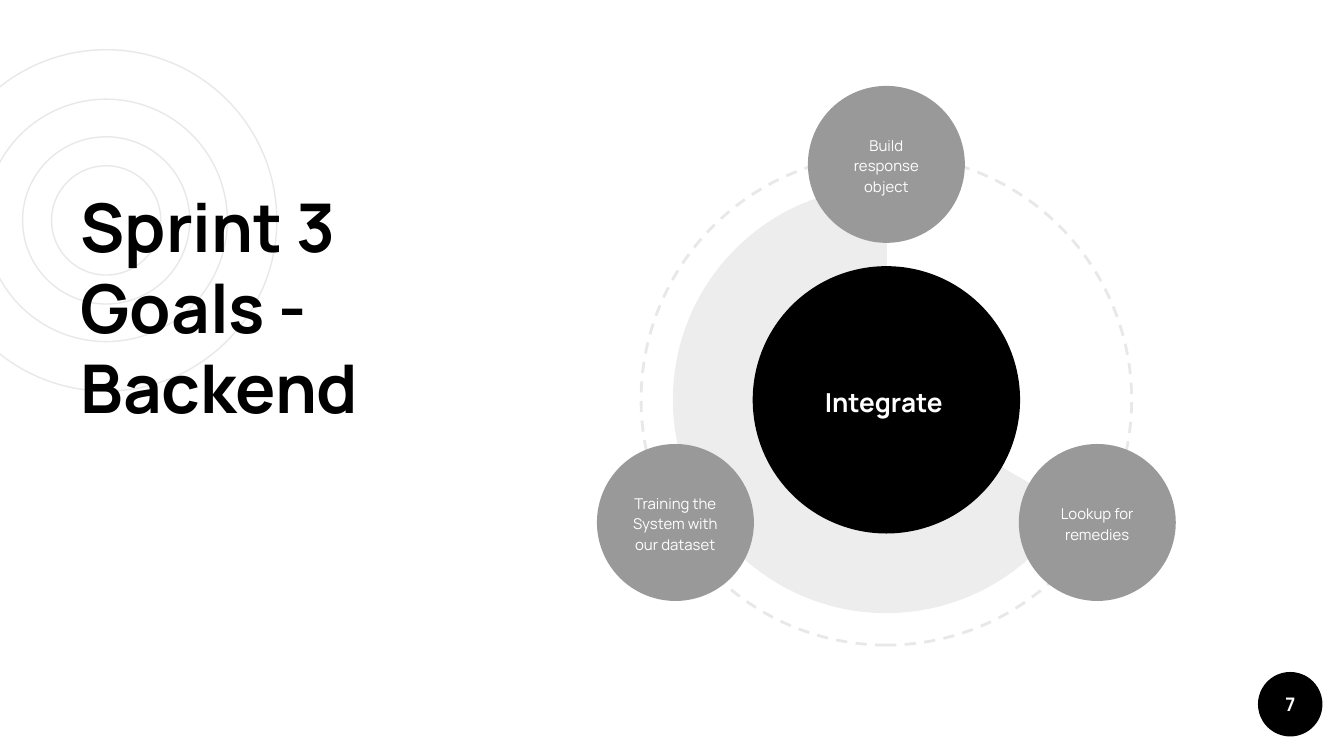
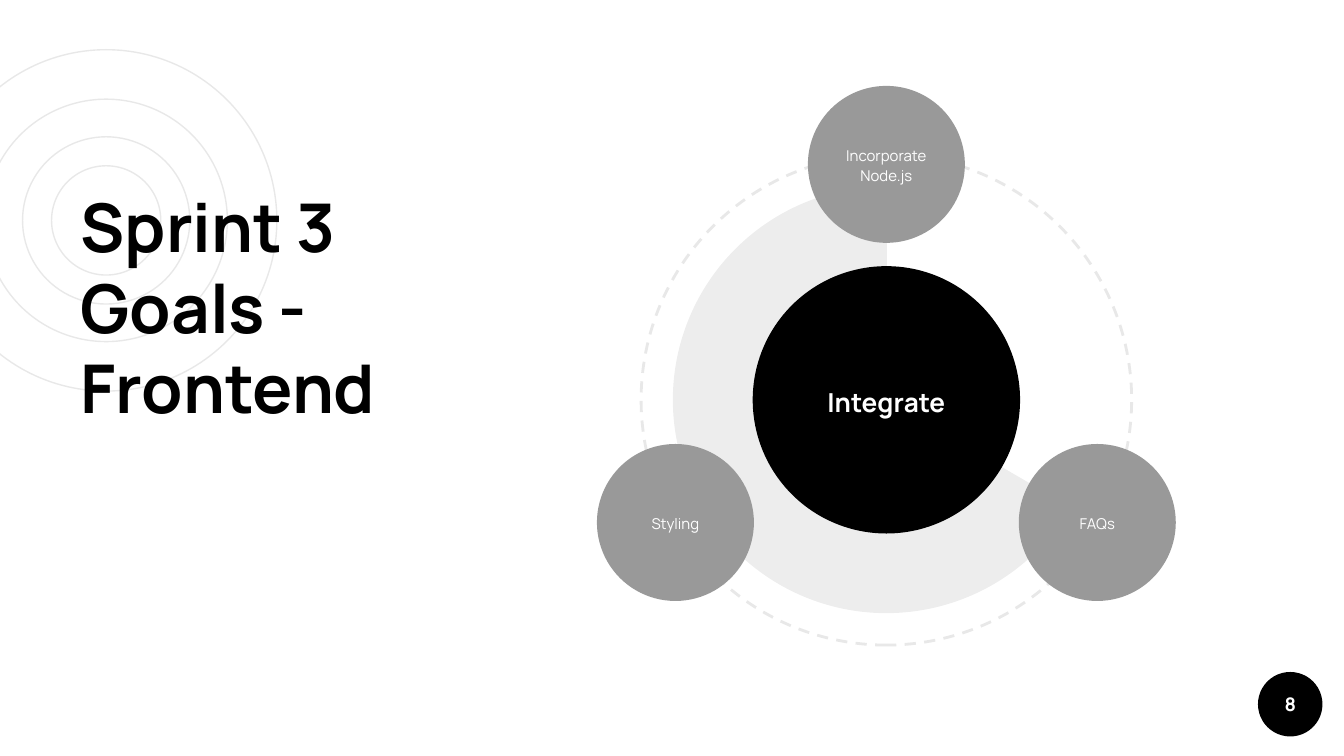
from dataclasses import dataclass

from lxml.etree import SubElement
from pptx import Presentation
from pptx.dml.color import RGBColor
from pptx.enum.dml import MSO_LINE
from pptx.enum.shapes import MSO_SHAPE
from pptx.enum.text import MSO_ANCHOR, MSO_AUTO_SIZE, PP_ALIGN
from pptx.oxml.ns import qn
from pptx.util import Inches, Pt

BLACK = RGBColor(0x00, 0x00, 0x00)
WHITE = RGBColor(0xFF, 0xFF, 0xFF)
GREY = RGBColor(0x99, 0x99, 0x99)
PALE = RGBColor(0xE8, 0xE8, 0xE8)
FONT = "Manrope"

# The grid has square cells: 100 columns across, 56.25 rows down.
COLUMNS, ROWS = 100, 56.25
SLIDE_WIDTH = Inches(10)
CELL = SLIDE_WIDTH // COLUMNS
INSET = CELL


@dataclass
class Box:
    """A rectangle in grid cells."""
    left: float
    top: float
    width: float
    height: float

    def square(self, share, across=0, down=0):
        """Return a square sized and offset from the centre by shares of the width."""
        side = self.width * share
        return Box(self.left + self.width * (0.5 + across) - side / 2,
                   self.top + self.height / 2 + self.width * down - side / 2,
                   side, side)

    def lengths(self):
        """Return left, top, width and height as slide lengths."""
        return [round(cells * CELL)
                for cells in (self.left, self.top, self.width, self.height)]


RINGS_BOX = Box(-4.8, 3.7, 25.4, 25.4)
RING_SHARES = (1, 0.49, 0.71, 0.32)
TITLE_BOX = Box(5, 12.8, 32.8, 32.2)
BADGE_BOX = Box(93.6, 50, 4.8, 4.8)
DIAGRAM_BOX = Box(47.7, 11.5, 36.5, 36.5)
GOAL_OFFSETS = ((0, -0.48), (-0.43, 0.25), (0.43, 0.25))

# Title, page number, centre label, goals: top, lower left, lower right
SLIDES = (
    ("Sprint 3 Goals - Backend", 7, "Integrate ",
     ("Build response object", "Training the System with our dataset",
      "Lookup for remedies")),
    ("Sprint 3 Goals - Frontend", 8, "Integrate",
     ("Incorporate Node.js", "Styling", "FAQs")),
)


def style_font(paragraph, size, color, bold):
    """Set the font of a whole paragraph."""
    font = paragraph.font
    font.name, font.size, font.bold = FONT, Pt(size), bold
    font.color.rgb = color


def add_filled(slide, box, color, kind=MSO_SHAPE.OVAL):
    """Add a solid shape without outline."""
    shape = slide.shapes.add_shape(kind, *box.lengths())
    shape.shadow.inherit = False
    shape.fill.solid()
    shape.fill.fore_color.rgb = color
    shape.line.fill.background()
    return shape


def add_ring(slide, box, width):
    """Add an unfilled circle with a pale outline."""
    ring = slide.shapes.add_shape(MSO_SHAPE.OVAL, *box.lengths())
    ring.shadow.inherit = False
    ring.fill.background()
    ring.line.color.rgb = PALE
    ring.line.width = Pt(width)
    return ring


def add_disc(slide, box, color, text, size, bold=False, spacing=1.15, inset=0.8):
    """Add a solid circle with centred white text."""
    frame = add_filled(slide, box, color).text_frame
    frame.word_wrap = True
    frame.vertical_anchor = MSO_ANCHOR.MIDDLE
    frame.margin_left = frame.margin_right = round(inset * CELL)
    frame.margin_top = frame.margin_bottom = 0
    paragraph = frame.paragraphs[0]
    paragraph.text = text
    paragraph.alignment = PP_ALIGN.CENTER
    paragraph.line_spacing = spacing
    style_font(paragraph, size, WHITE, bold)


def add_rings(slide, box):
    """Draw the concentric decoration behind the title."""
    for share in RING_SHARES:
        add_ring(slide, box.square(share), 0.75)


def place_title(slide, box, text):
    """Move the title placeholder in front of the rings and format it."""
    title = slide.shapes.title
    title.element.getparent().append(title.element)
    title.left, title.top, title.width, title.height = box.lengths()
    frame = title.text_frame
    frame.text = text
    frame.word_wrap = True
    frame.auto_size = MSO_AUTO_SIZE.NONE
    frame.vertical_anchor = MSO_ANCHOR.TOP
    frame.margin_left = frame.margin_right = INSET
    frame.margin_top = frame.margin_bottom = INSET
    paragraph = frame.paragraphs[0]
    paragraph.alignment = PP_ALIGN.LEFT
    paragraph.line_spacing = 1.0
    paragraph.space_before = Pt(0)
    style_font(paragraph, 36, BLACK, True)


def add_goal_diagram(slide, box, centre, goals):
    """Draw a dashed orbit, a translucent sector, the core and its goals."""
    orbit = add_ring(slide, box, 1.5)
    orbit.line.dash_style = MSO_LINE.DASH
    orbit.rotation = 270

    sector = add_filled(slide, box.square(0.87), BLACK, MSO_SHAPE.PIE)
    sector.adjustments[0] = 18.12
    sector.adjustments[1] = 162.15
    color = sector.element.spPr.find(qn("a:solidFill")).find(qn("a:srgbClr"))
    SubElement(color, qn("a:alpha")).set("val", "7000")

    add_disc(slide, box.square(0.545), BLACK, centre, 14, bold=True)
    for (across, down), goal in zip(GOAL_OFFSETS, goals):
        add_disc(slide, box.square(0.32, across, down), GREY, goal, 8)


def add_goal_slide(presentation, title, number, centre, goals):
    """Add one sprint goal slide."""
    slide = presentation.slides.add_slide(
        presentation.slide_layouts.get_by_name("Title Only"))
    add_rings(slide, RINGS_BOX)
    add_disc(slide, BADGE_BOX, BLACK, str(number), 10,
             bold=True, spacing=1.0, inset=0)
    place_title(slide, TITLE_BOX, title)
    add_goal_diagram(slide, DIAGRAM_BOX, centre, goals)


presentation = Presentation()
presentation.slide_width = SLIDE_WIDTH
presentation.slide_height = round(ROWS * CELL)
for content in SLIDES:
    add_goal_slide(presentation, *content)
presentation.save("out.pptx")
